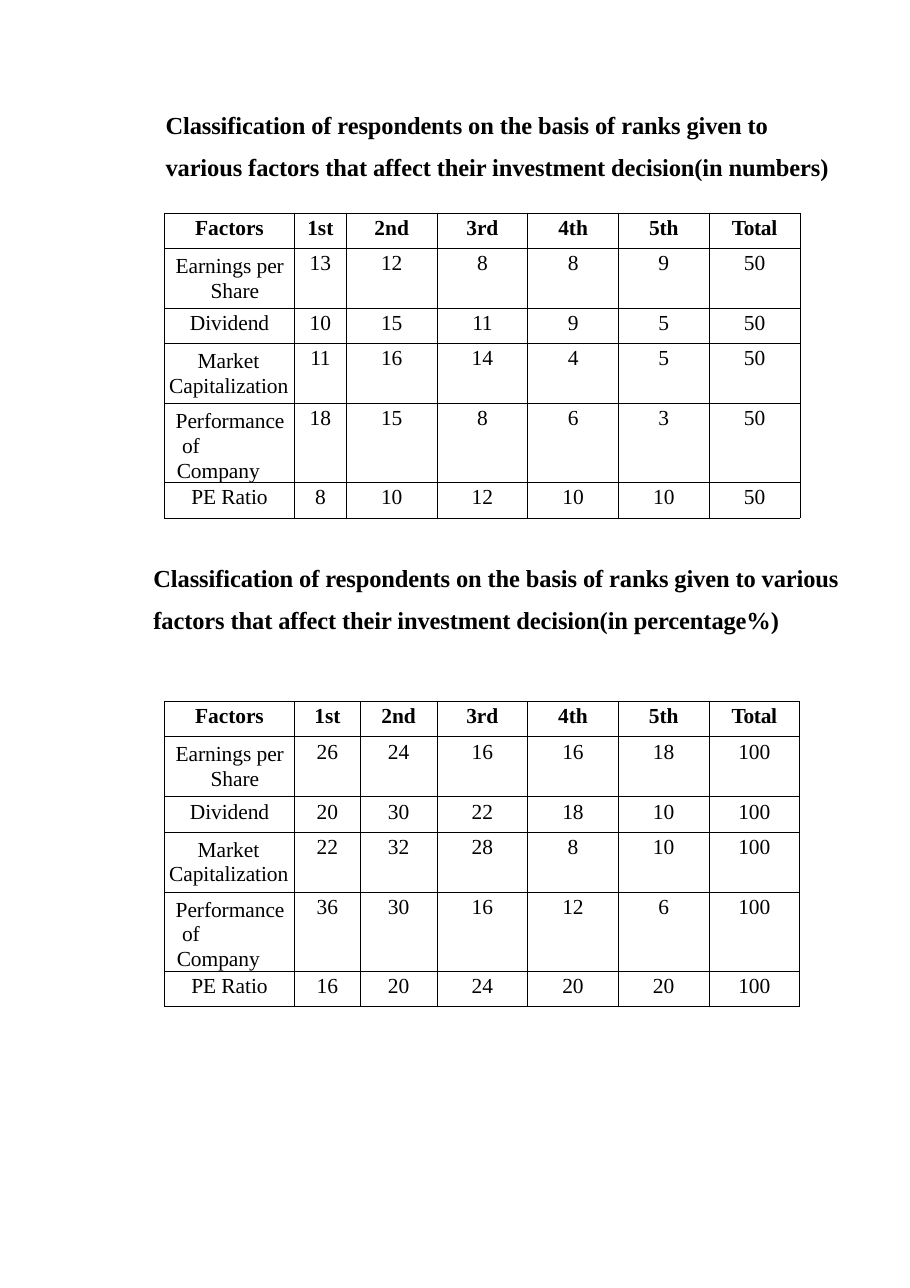
from lxml import etree
from pptx import Presentation
from pptx.dml.color import RGBColor
from pptx.enum.text import MSO_ANCHOR, PP_ALIGN
from pptx.oxml.ns import qn
from pptx.util import Pt

CENTER, LEFT = PP_ALIGN.CENTER, PP_ALIGN.LEFT
TOP, BOTTOM = MSO_ANCHOR.TOP, MSO_ANCHOR.BOTTOM
BLACK = RGBColor(0, 0, 0)
FONT = "Times New Roman"
TITLE_SIZE, TABLE_SIZE = 16, 14
TIGHT, TIGHTER = -5, -25  # letter spacing in hundredths of a point

HEADER = ["Factors", "1st", "2nd", "3rd", "4th", "5th", "Total"]
FACTORS = ["Earnings per\n Share", "Dividend", "Market Capitalization",
           "Performance\n of\nCompany", "PE Ratio"]
# Left margin and first-line indent of the labels that take several lines
LABEL_INDENTS = {FACTORS[0]: (26.6, -19.4), FACTORS[2]: (2.9, 18.7),
                 FACTORS[3]: (7.9, -0.7)}
RANK_COUNTS = [[13, 12, 8, 8, 9], [10, 15, 11, 9, 5], [11, 16, 14, 4, 5],
               [18, 15, 8, 6, 3], [8, 10, 12, 10, 10]]
RESPONDENTS = 50

TABLE_LEFT = 107.6
ROW_HEIGHTS = [23.1, 39.2, 23.1, 39.2, 39.2, 23.1]
FACTOR_WIDTH, RANK_WIDTH = 84.8, 59.3


class SlideBuilder:
    """Holds the text style and the slide being filled."""

    def __init__(self, slide, font, color):
        self.slide = slide
        self.font = font
        self.color = color

    def add_run(self, paragraph, text, size, bold=False, tracking=0):
        run = paragraph.add_run()
        run.text = text
        run.font.name = self.font
        run.font.size = Pt(size)
        run.font.bold = bold
        run.font.color.rgb = self.color
        run.font._element.set("spc", str(tracking))

    def indent(self, paragraph, margin, first_line):
        properties = paragraph._p.get_or_add_pPr()
        properties.set("marL", str(Pt(margin)))
        properties.set("indent", str(Pt(first_line)))

    def add_title(self, left, top, width, height, text, anchor):
        box = self.slide.shapes.add_textbox(Pt(left), Pt(top), Pt(width), Pt(height))
        frame = box.text_frame
        frame.word_wrap = True
        frame.vertical_anchor = anchor
        frame.margin_left = frame.margin_right = frame.margin_bottom = 0
        frame.margin_top = Pt(0.9)
        paragraph = frame.paragraphs[0]
        paragraph.line_spacing = 1.44
        self.indent(paragraph, 0.9, 0)
        self.add_run(paragraph, text, TITLE_SIZE, True, TIGHT)

    def add_borders(self, cell):
        properties = cell._tc.get_or_add_tcPr()
        for side in ("lnL", "lnR", "lnT", "lnB"):
            line = etree.SubElement(properties, qn(f"a:{side}"), w=str(Pt(0.5)))
            fill = etree.SubElement(line, qn("a:solidFill"))
            etree.SubElement(fill, qn("a:srgbClr"), val=str(self.color))

    def fill_cell(self, cell, text, bold, tracking):
        cell.margin_left = cell.margin_right = cell.margin_bottom = 0
        cell.margin_top = Pt(2.1)
        cell.vertical_anchor = TOP
        self.add_borders(cell)
        cell.fill.background()
        paragraph = cell.text_frame.paragraphs[0]
        paragraph.alignment = CENTER
        paragraph.space_before = Pt(2.1)
        if text in LABEL_INDENTS:
            cell.margin_top = Pt(3.4)
            paragraph.alignment = LEFT
            paragraph.space_before = Pt(3.2)
            paragraph.line_spacing = Pt(16.1)
            self.indent(paragraph, *LABEL_INDENTS[text])
        for number, line in enumerate(text.split("\n")):
            if number:
                paragraph.add_line_break()
            self.add_run(paragraph, line, TABLE_SIZE, bold, tracking)

    def add_rank_table(self, left, top, widths, rows):
        frame = self.slide.shapes.add_table(
            len(rows), len(widths), Pt(left), Pt(top),
            Pt(sum(widths)), Pt(sum(ROW_HEIGHTS)))
        table = frame.table
        table.first_row = table.horz_banding = False
        for column, width in zip(table.columns, widths):
            column.width = Pt(width)
        for row, height in zip(table.rows, ROW_HEIGHTS):
            row.height = Pt(height)
        for row_index, values in enumerate(rows):
            for column_index, value in enumerate(values):
                text = str(value)
                if text in ("Total", "11"):
                    tracking = TIGHTER
                else:
                    tracking = 0 if text.isdigit() else TIGHT
                self.fill_cell(table.cell(row_index, column_index), text,
                               row_index == 0, tracking)


def rank_rows(scale):
    """Header and one row per factor, with every count multiplied by scale."""
    rows = [HEADER]
    for factor, counts in zip(FACTORS, RANK_COUNTS):
        rows.append([factor] + [count * scale for count in counts]
                    + [RESPONDENTS * scale])
    return rows


def main():
    presentation = Presentation()
    presentation.slide_width = Pt(594.72)
    presentation.slide_height = Pt(841.68)
    slide = presentation.slides.add_slide(presentation.slide_layouts[6])
    builder = SlideBuilder(slide, FONT, BLACK)

    # Ranks in numbers
    builder.add_title(
        107.3, 62.6, 442, 54,
        "Classification of respondents on the basis of ranks given to various "
        "factors that affect their investment decision(in numbers)", TOP)
    builder.add_rank_table(TABLE_LEFT, 139.2, [FACTOR_WIDTH, 34] + [RANK_WIDTH] * 5,
                           rank_rows(1))

    # Ranks in percentage
    builder.add_title(
        99.4, 324.7, 468, 90,
        "Classification of respondents on the basis of ranks given to various "
        "factors that affect their investment decision(in percentage%)", BOTTOM)
    builder.add_rank_table(TABLE_LEFT, 458.4,
                           [FACTOR_WIDTH, 43.2, 50] + [RANK_WIDTH] * 4,
                           rank_rows(100 // RESPONDENTS))

    presentation.save("out.pptx")


if __name__ == "__main__":
    main()
